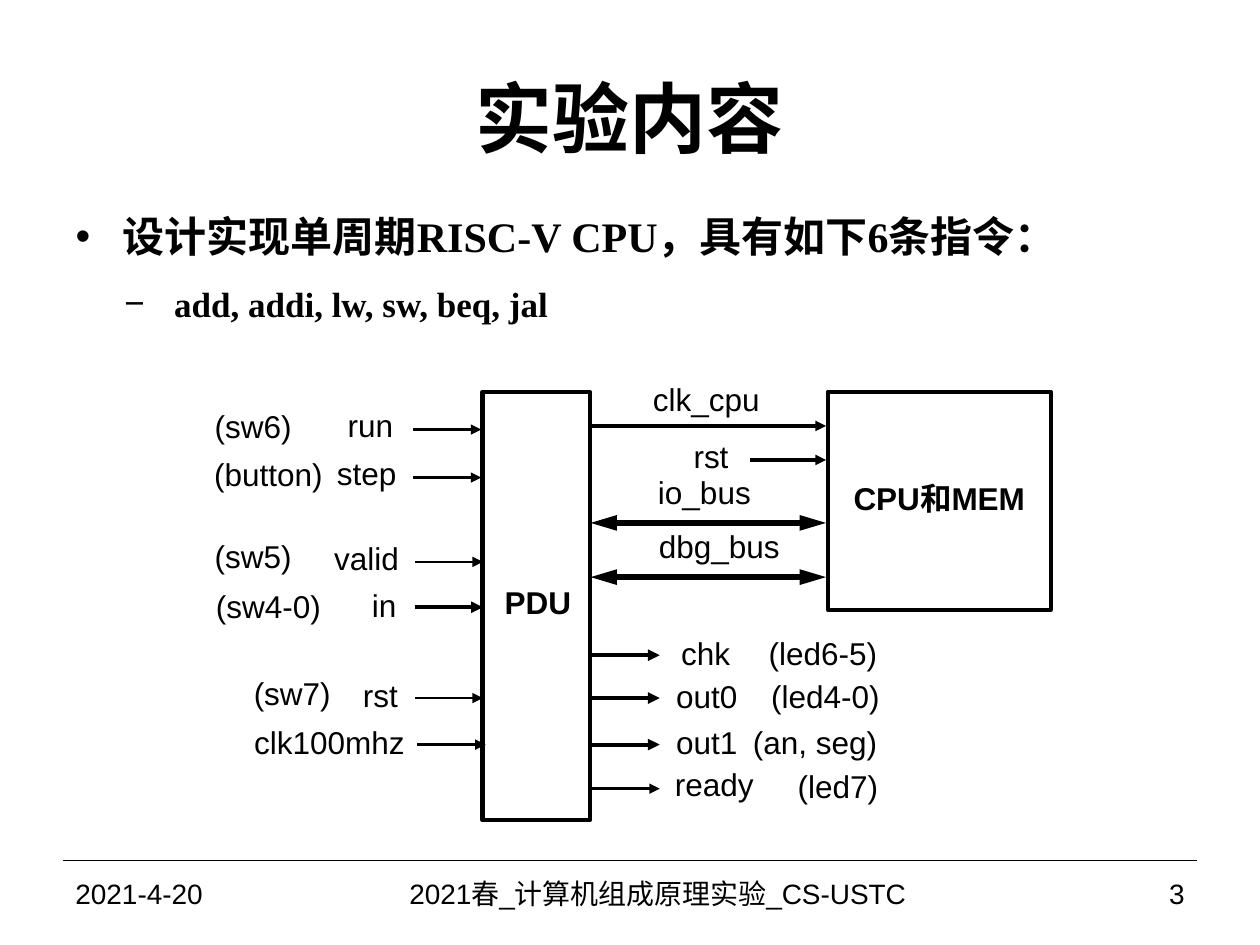
"""Build the lab content slide with its PDU and CPU block diagram."""
from dataclasses import dataclass

from pptx import Presentation
from pptx import util as u
from pptx.dml import color
from pptx.enum import shapes, text
from pptx.oxml import xmlchemy


@dataclass(frozen=True)
class Theme:
    """Colours, fonts and type sizes of the slide."""
    ink: color.RGBColor = color.RGBColor(0, 0, 0)
    sans: str = "Arial"
    serif: str = "Times New Roman"
    title: float = 44
    heading: float = 24
    item: float = 20
    label: float = 18
    footer: float = 16


THEME = Theme()
ALIGN = text.PP_ALIGN
LETTER_WIDTH, LABEL_SLACK, LABEL_HEIGHT = 10, 10, 24
ARROW_LENGTH = 39
INPUT_ROWS = [
    ("run", 211.7, 243, "(sw6)", 144.7, 243.4, 236, 245.5, 1.5),
    ("step", 209.5, 270.4, "(button)", 153.4, 270.7, 236, 272.9, 1.5),
    ("valid", 209.5, 318.6, "(sw5)", 144.7, 317.5, 236.9, 321.1, 1.5),
    ("in", 219.6, 345.6, "(sw4-0)", 153.4, 346.3, 236.9, 347, 2.25),
    ("rst", 217.4, 397.1, "(sw7)", 167, 396, 236.9, 398.9, 1.5),
    ("clk100mhz", 188.3, 423.7, "", 0, 0, 238.5, 425.5, 1.5),
]
OUTPUT_ROWS = [
    ("chk", 403.2, 373, "(led6-5)", 470.2, 373.3, 338, 374.4, 2.25),
    ("out0", 403.9, 397.4, "(led4-0)", 471.6, 397.8, 338, 398.9, 2.25),
    ("out1", 403.9, 424.1, "(an, seg)", 465.8, 423.7, 338, 425.5, 2.25),
    ("ready", 408.2, 447.8, "(led7)", 478.8, 448.9, 338, 450.7, 1.5),
]
BUS_ROWS = [
    ("clk_cpu", 403.6, 228.2, 337.5, 243.4, 2, False),
    ("rst", 406.3, 260.6, 428.5, 262.8, 2, False),
    ("io_bus", 402.5, 280.8, 337.5, 298.8, 3, True),
    ("dbg_bus", 411, 311.8, 337.5, 329.8, 3, True),
]
BUS_END = 472


def place(shape, left, top, width, height):
    """Move and size a shape in points."""
    shape.left, shape.top = u.Pt(left), u.Pt(top)
    shape.width, shape.height = u.Pt(width), u.Pt(height)


def write_text(paragraph, content, *, size=THEME.label, font=THEME.sans,
               bold=False, align=ALIGN.CENTER, before=0):
    """Write one formatted run into a paragraph."""
    run = paragraph.add_run()
    run.text = content
    run.font.size = u.Pt(size)
    run.font.name = font
    run.font.bold = bold
    run.font.color.rgb = THEME.ink
    paragraph.alignment = align
    paragraph.space_before = u.Pt(before)


def set_frame(frame, inset=0, wrap=False):
    """Centre a text frame vertically with even insets."""
    frame.margin_left = frame.margin_right = u.Pt(inset)
    frame.margin_top = frame.margin_bottom = u.Pt(inset / 2)
    frame.vertical_anchor = text.MSO_ANCHOR.MIDDLE
    frame.word_wrap = wrap


def add_label(slide, content, x, y, bold=False):
    """Add a one-line label centred on a point, as wide as its text needs."""
    width = LETTER_WIDTH * len(content) + LABEL_SLACK
    box = slide.shapes.add_textbox(
        u.Pt(x - width / 2), u.Pt(y - LABEL_HEIGHT / 2), u.Pt(width), u.Pt(LABEL_HEIGHT))
    set_frame(box.text_frame)
    write_text(box.text_frame.paragraphs[0], content, bold=bold)


def add_block(slide, left, top, width, height, weight):
    """Add an outlined, unfilled block."""
    block = slide.shapes.add_shape(
        shapes.MSO_SHAPE.RECTANGLE, u.Pt(left), u.Pt(top), u.Pt(width), u.Pt(height))
    block.shadow.inherit = False
    block.fill.background()
    block.line.color.rgb = THEME.ink
    block.line.width = u.Pt(weight)
    set_frame(block.text_frame)
    return block


def add_line(slide, start, end, y, weight, heads=(), length="med"):
    """Add a horizontal line with the named arrowheads."""
    line = slide.shapes.add_connector(
        shapes.MSO_CONNECTOR.STRAIGHT, u.Pt(start), u.Pt(y), u.Pt(end), u.Pt(y))
    line.line.color.rgb = THEME.ink
    line.line.width = u.Pt(weight)
    outline = line.line._get_or_add_ln()
    for head in heads:
        arrow = xmlchemy.OxmlElement(f"a:{head}")
        arrow.set("type", "triangle")
        arrow.set("w", "med")
        arrow.set("len", length)
        outline.append(arrow)
    line._element.spPr.append(xmlchemy.OxmlElement("a:effectLst"))


def set_bullet(paragraph, symbol, margin, indent):
    """Give a paragraph a bullet with a hanging indent."""
    properties = paragraph._p.get_or_add_pPr()
    properties.set("marL", str(u.Pt(margin)))
    properties.set("indent", str(u.Pt(-indent)))
    font = xmlchemy.OxmlElement("a:buFont")
    font.set("typeface", THEME.sans)
    bullet = xmlchemy.OxmlElement("a:buChar")
    bullet.set("char", symbol)
    properties.extend([font, bullet])


def fill_placeholders(slide):
    """Write the title and the two-level list."""
    title, body = slide.shapes.title, slide.placeholders[1]
    place(title, 36, 21.6, 648, 90)
    title.text_frame.vertical_anchor = text.MSO_ANCHOR.MIDDLE
    write_text(title.text_frame.paragraphs[0], "实验内容", size=THEME.title, bold=True)

    place(body, 36, 116.8, 636, 80)
    frame = body.text_frame
    frame.auto_size = text.MSO_AUTO_SIZE.NONE
    heading, item = frame.paragraphs[0], frame.add_paragraph()
    item.level = 1
    write_text(heading, "设计实现单周期RISC-V CPU，具有如下6条指令：", size=THEME.heading,
               font=THEME.serif, bold=True, align=ALIGN.LEFT, before=6)
    write_text(item, "add, addi, lw, sw, beq, jal", size=THEME.item,
               font=THEME.serif, bold=True, align=ALIGN.LEFT, before=12)
    set_bullet(heading, "•", 27, 27)
    set_bullet(item, "−", 56.3, 28.5)


def add_port(slide, name, name_x, name_y, note, note_x, note_y, start, y, weight):
    """Add a port with its name, board note and arrow."""
    add_label(slide, name, name_x, name_y)
    if note:
        add_label(slide, note, note_x, note_y)
    add_line(slide, start, start + ARROW_LENGTH, y, weight, ["tailEnd"])


def add_bus(slide, name, x, name_y, start, y, weight, both_ways):
    """Add a named signal that ends at the CPU block."""
    add_label(slide, name, x, name_y)
    heads = ["headEnd", "tailEnd"] if both_ways else ["tailEnd"]
    add_line(slide, start, BUS_END, y, weight, heads, "lg" if both_ways else "med")


def add_diagram(slide):
    """Draw both blocks and all their signals."""
    add_block(slide, 275.8, 224, 61.2, 244.8, 2.5)
    add_label(slide, "PDU", 307.4, 344, bold=True)
    cpu = add_block(slide, 473, 224, 127.5, 124.5, 2.25)
    paragraph = cpu.text_frame.paragraphs[0]
    write_text(paragraph, "CPU和MEM", bold=True)
    paragraph.line_spacing = u.Pt(THEME.label)
    for row in INPUT_ROWS + OUTPUT_ROWS:
        add_port(slide, *row)
    for row in BUS_ROWS:
        add_bus(slide, *row)


def add_footer(slide):
    """Add the rule, date, course name and page number."""
    add_line(slide, 36, 684, 491.8, 0.75)
    cells = [("2021-4-20", 36, 168, ALIGN.LEFT),
             ("2021春_计算机组成原理实验_CS-USTC ", 204, 348, ALIGN.CENTER),
             ("3", 552, 132, ALIGN.RIGHT)]
    for content, left, width, align in cells:
        box = slide.shapes.add_textbox(u.Pt(left), u.Pt(491.8), u.Pt(width), u.Pt(37.5))
        set_frame(box.text_frame, inset=7.2, wrap=True)
        write_text(box.text_frame.paragraphs[0], content, size=THEME.footer, align=align)


def main():
    """Create and save the presentation."""
    presentation = Presentation()
    presentation.slide_width, presentation.slide_height = u.Pt(720), u.Pt(540)
    slide = presentation.slides.add_slide(presentation.slide_layouts[1])
    fill_placeholders(slide)
    add_footer(slide)
    add_diagram(slide)
    presentation.save("out.pptx")


if __name__ == "__main__":
    main()
